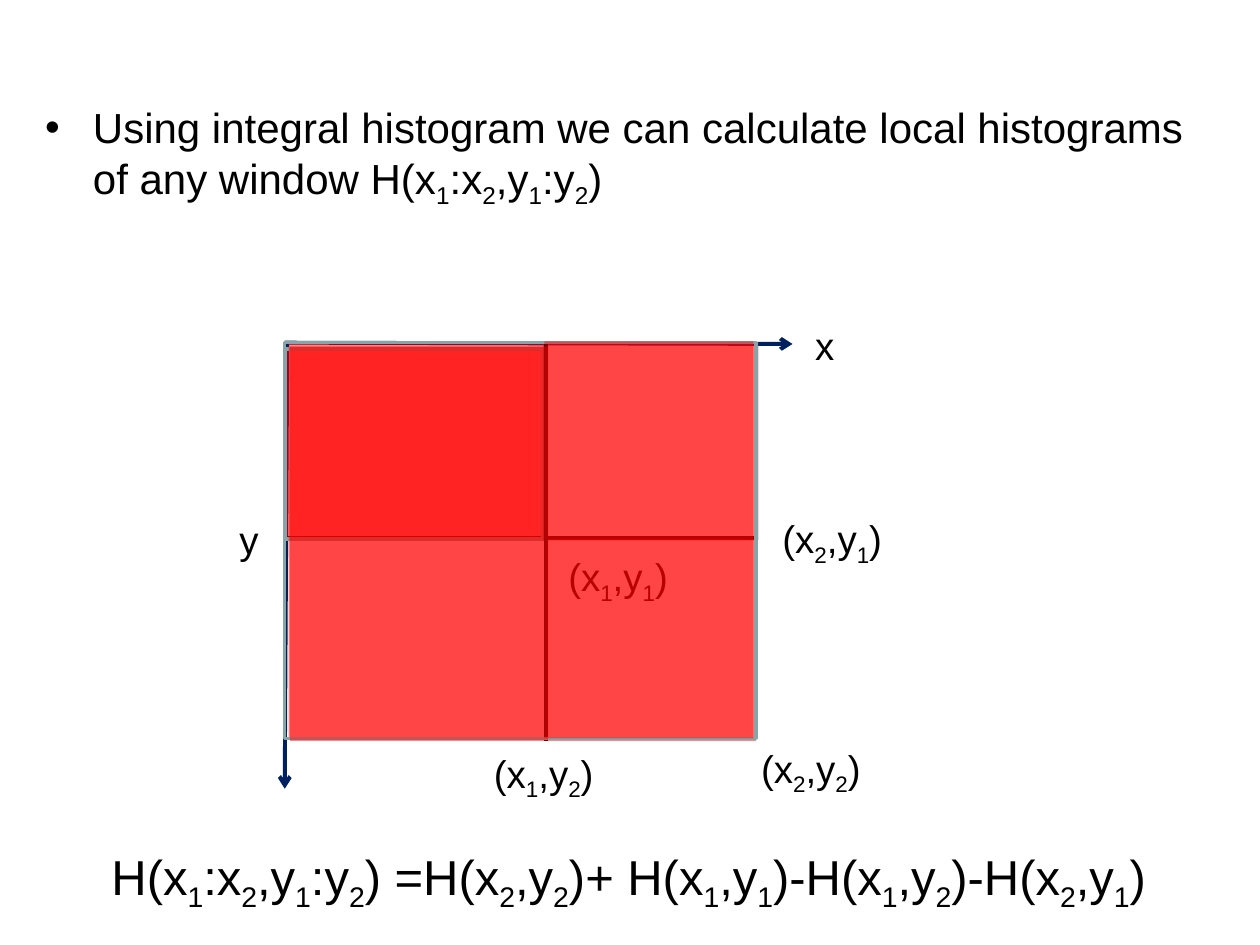
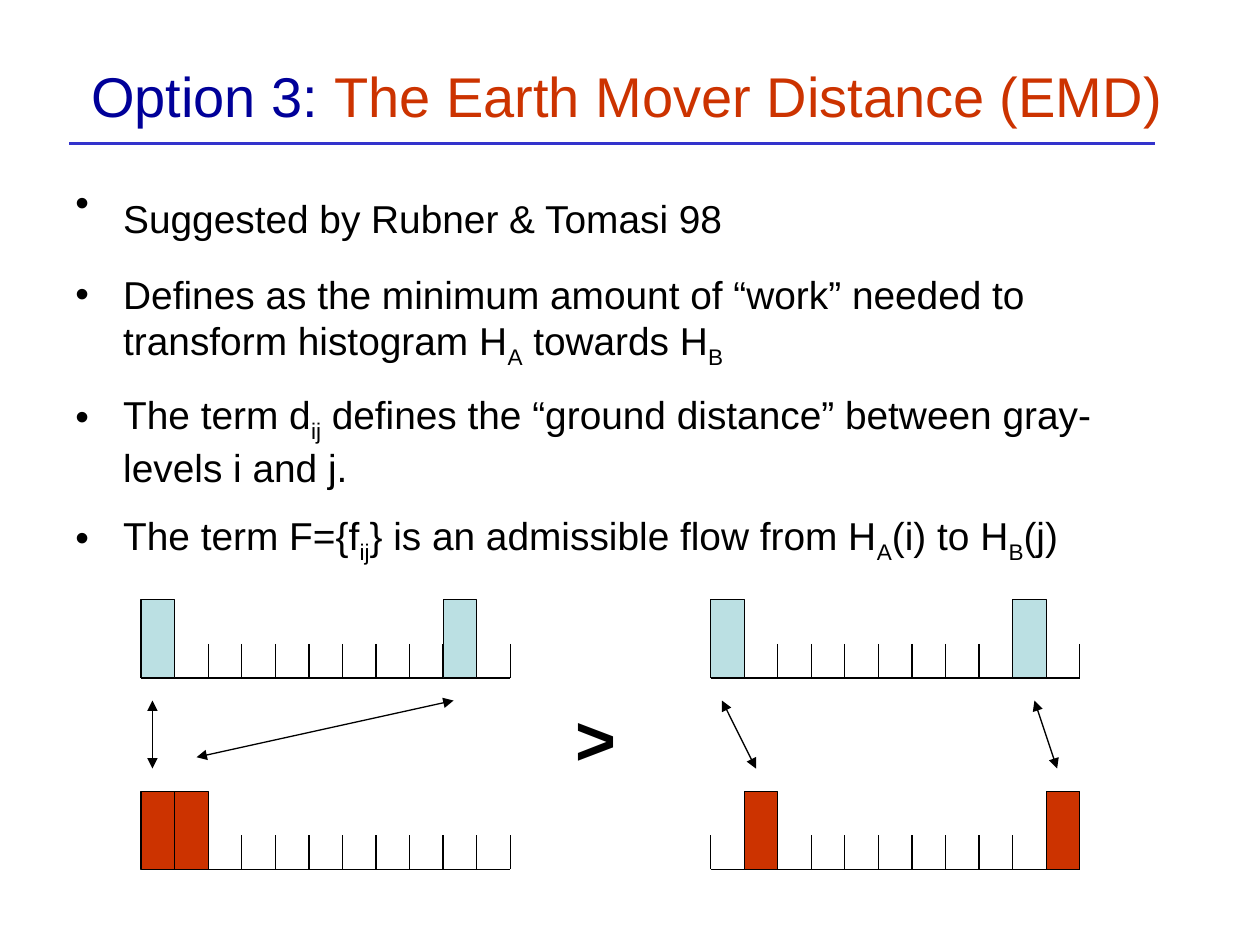
from lxml import etree
from pptx import Presentation
from pptx.dml.color import RGBColor
from pptx.enum.shapes import MSO_CONNECTOR, MSO_SHAPE
from pptx.enum.text import MSO_ANCHOR, PP_ALIGN
from pptx.oxml.ns import qn
from pptx.util import Inches, Pt

STRAIGHT = MSO_CONNECTOR.STRAIGHT
RECTANGLE = MSO_SHAPE.RECTANGLE
LEFT, CENTER = PP_ALIGN.LEFT, PP_ALIGN.CENTER
TOP, MIDDLE = MSO_ANCHOR.TOP, MSO_ANCHOR.MIDDLE
FONT = "Arial"
BLACK = RGBColor(0x00, 0x00, 0x00)
NAVY = RGBColor(0x00, 0x20, 0x60)
RED = RGBColor(0xFF, 0x00, 0x00)
GREY = RGBColor(0x89, 0xA4, 0xA7)
TITLE_BLUE = RGBColor(0x00, 0x00, 0x99)
RULE_BLUE = RGBColor(0x33, 0x33, 0xCC)
RUST = RGBColor(0xCC, 0x33, 0x00)
PALE_TEAL = RGBColor(0xBB, 0xE0, 0xE3)

# Text between tildes is set as a subscript.
WINDOW_BULLETS = [
    "Using integral histogram we can calculate local histograms of any window H(x~1~:x~2~,y~1~:y~2~)",
]
WINDOW_FORMULA = (
    "H(x~1~:x~2~,y~1~:y~2~) =H(x~2~,y~2~)+ H(x~1~,y~1~)-H(x~1~,y~2~)-H(x~2~,y~1~)"
)
CORNER_LABELS = [
    ("(x~2~,y~2~)", (5.94, 5.86, 0.99, 0.52)),
    ("(x~1~,y~1~)", (4.41, 4.34, 0.99, 0.52)),
    ("x", (6.37, 2.51, 0.35, 0.47)),
    ("y", (1.8, 4.05, 0.35, 0.47)),
    ("(x~2~,y~1~)", (6.11, 4.04, 0.99, 0.52)),
    ("(x~1~,y~2~)", (3.82, 5.9, 0.99, 0.52)),
]
AXES = [((2.28, 2.72), (2.26, 6.26)), ((2.26, 2.72), (6.29, 2.73))]
LOWER_WINDOWS = [
    (4.34, 4.28, 1.66, 1.6),
    (4.31, 2.72, 1.71, 1.57),
    (2.29, 2.72, 2.05, 3.13),
]
UPPER_WINDOWS = [
    (4.32, 4.28, 1.66, 1.58),
    (4.32, 2.71, 1.66, 1.57),
    (2.3, 2.75, 2.05, 3.13),
]

EMD_TITLE = [(" Option 3: ", TITLE_BLUE), ("The Earth Mover Distance (EMD)", RUST)]
EMD_BULLETS = [
    "Suggested by Rubner & Tomasi 98",
    "Defines as the minimum amount of “work” needed to transform histogram H~A~ towards H~B~",
    "The term d~ij~ defines the “ground distance” between gray-levels i and j.",
    "The term F={f~ij~} is an admissible flow from H~A~(i) to H~B~(j)",
]
BIN_COUNT, BIN_WIDTH, TICK_HEIGHT, BAR_HEIGHT = 11, 2.93 / 11, 0.27, 0.62
LEFT_X, RIGHT_X, UPPER_Y, LOWER_Y = 1.12, 5.64, 5.38, 6.9
HISTOGRAMS = [
    (LEFT_X, UPPER_Y, PALE_TEAL, (0, 9)),
    (LEFT_X, LOWER_Y, RUST, (0, 1)),
    (RIGHT_X, UPPER_Y, PALE_TEAL, (0, 9)),
    (RIGHT_X, LOWER_Y, RUST, (1, 10)),
]
FLOWS = [
    ((1.21, 5.56), (1.21, 6.1)),
    ((3.6, 5.56), (1.56, 6.01)),
    ((5.73, 5.56), (6, 6.1)),
    ((8.21, 5.56), (8.39, 6.1)),
]


def set_attributes(target, values):
    for name, value in values.items():
        setattr(target, name, value)


def add_run(paragraph, text, size, color=BLACK, bold=False):
    run = paragraph.add_run()
    run.text = text
    set_attributes(run.font, {"name": FONT, "size": Pt(size), "bold": bold})
    run.font.color.rgb = color
    return run


def add_marked_text(paragraph, text, size, bold=False):
    for index, part in enumerate(text.split("~")):
        run = add_run(paragraph, part, size, bold=bold)
        if index % 2:
            run.font._element.set("baseline", "-25000")


def add_text_box(slide, box, wrap=True):
    shape = slide.shapes.add_textbox(*map(Inches, box))
    set_attributes(shape.text_frame, {"word_wrap": wrap, "vertical_anchor": TOP})
    return shape.text_frame


def add_label(slide, text, box, size, wrap=False, bold=False):
    paragraph = add_text_box(slide, box, wrap).paragraphs[0]
    paragraph.alignment = CENTER
    add_marked_text(paragraph, text, size, bold)


def add_bullets(slide, items, box, size):
    frame = add_text_box(slide, box)
    for index, item in enumerate(items):
        paragraph = frame.add_paragraph() if index else frame.paragraphs[0]
        set_attributes(paragraph, {"space_before": Pt(6), "space_after": Pt(6)})
        properties = paragraph._p.get_or_add_pPr()
        properties.set("marL", str(Inches(0.38)))
        properties.set("indent", str(-Inches(0.38)))
        color = etree.SubElement(properties, qn("a:buClr"))
        etree.SubElement(color, qn("a:srgbClr"), val=str(BLACK))
        etree.SubElement(properties, qn("a:buFont"), typeface=FONT)
        etree.SubElement(properties, qn("a:buChar"), char="•")
        add_marked_text(paragraph, item, size)
    return frame


def add_line(slide, start, end, color=BLACK, width=0.75, head=None, tail=None):
    points = map(Inches, (*start, *end))
    connector = slide.shapes.add_connector(STRAIGHT, *points)
    connector.line.color.rgb = color
    connector.line.width = Pt(width)
    outline = connector.line._get_or_add_ln()
    for tag, kind in (("a:headEnd", head), ("a:tailEnd", tail)):
        if kind:
            etree.SubElement(outline, qn(tag), type=kind)
    etree.SubElement(connector._element.spPr, qn("a:effectLst"))


def add_rectangle(slide, box, fill=None, opacity=100, line=None, width=0.75):
    shape = slide.shapes.add_shape(RECTANGLE, *map(Inches, box))
    shape.shadow.inherit = False
    if fill is None:
        shape.fill.background()
    else:
        shape.fill.solid()
        shape.fill.fore_color.rgb = fill
        if opacity < 100:
            color = shape._element.spPr.find(qn("a:solidFill"))[0]
            etree.SubElement(color, qn("a:alpha"), val=str(opacity * 1000))
    if line is None:
        shape.line.fill.background()
    else:
        shape.line.color.rgb = line
        shape.line.width = Pt(width)


def add_histogram(slide, left, base, fill, filled_bins):
    add_line(slide, (left, base), (left + BIN_COUNT * BIN_WIDTH, base))
    for index in range(BIN_COUNT + 1):
        x = left + index * BIN_WIDTH
        add_line(slide, (x, base - TICK_HEIGHT), (x, base))
    for index in filled_bins:
        box = (left + index * BIN_WIDTH, base - BAR_HEIGHT, BIN_WIDTH, BAR_HEIGHT)
        add_rectangle(slide, box, fill, line=BLACK)


def build_window_slide(presentation):
    slide = presentation.slides.add_slide(presentation.slide_layouts[6])
    add_bullets(slide, WINDOW_BULLETS, (0.26, 0.76, 9.36, 1.19), 24)
    for start, end in AXES:
        add_line(slide, start, end, NAVY, 2.25, tail="arrow")
    add_line(slide, (2.27, 4.27), (5.99, 4.27), width=2.25)
    add_label(slide, WINDOW_FORMULA, (0.24, 6.67, 9.5, 0.63), 28, wrap=True)
    for text, box in CORNER_LABELS:
        add_label(slide, text, box, 22)
    add_rectangle(slide, (2.26, 2.77, 2.05, 1.51), RED, 48, GREY, 2)
    for box in LOWER_WINDOWS:
        add_rectangle(slide, box, RED, 48)
    add_line(slide, (4.33, 2.71), (4.33, 5.88), width=2.25)
    add_rectangle(slide, (2.26, 2.72, 3.74, 3.14), line=GREY, width=2)
    for box in UPPER_WINDOWS:
        add_rectangle(slide, box, RED, 48)


def build_emd_slide(presentation):
    slide = presentation.slides.add_slide(presentation.slide_layouts[5])
    title = slide.shapes.title
    position = zip(("left", "top", "width", "height"), (0.5, 0.3, 9.21, 0.91))
    set_attributes(title, {name: Inches(value) for name, value in position})
    set_attributes(title.text_frame, {"word_wrap": True, "vertical_anchor": MIDDLE})
    heading = title.text_frame.paragraphs[0]
    heading.alignment = LEFT
    for text, color in EMD_TITLE:
        add_run(heading, text, 32, color)
    add_line(slide, (0.55, 1.14), (9.17, 1.14), RULE_BLUE, 2)
    frame = add_bullets(slide, EMD_BULLETS, (0.5, 1.19, 9, 3.53), 22.2)
    frame.paragraphs[0].space_before = Pt(12)
    add_run(frame.paragraphs[0], " ", 44.4)
    for histogram in HISTOGRAMS:
        add_histogram(slide, *histogram)
    for start, end in FLOWS:
        add_line(slide, start, end, head="triangle", tail="triangle")
    add_label(slide, ">", (4.47, 5.47, 0.52, 0.77), 40, bold=True)


def main():
    presentation = Presentation()
    presentation.slide_width = Inches(10)
    presentation.slide_height = Inches(7.5)
    build_window_slide(presentation)
    build_emd_slide(presentation)
    presentation.save("out.pptx")


if __name__ == "__main__":
    main()
